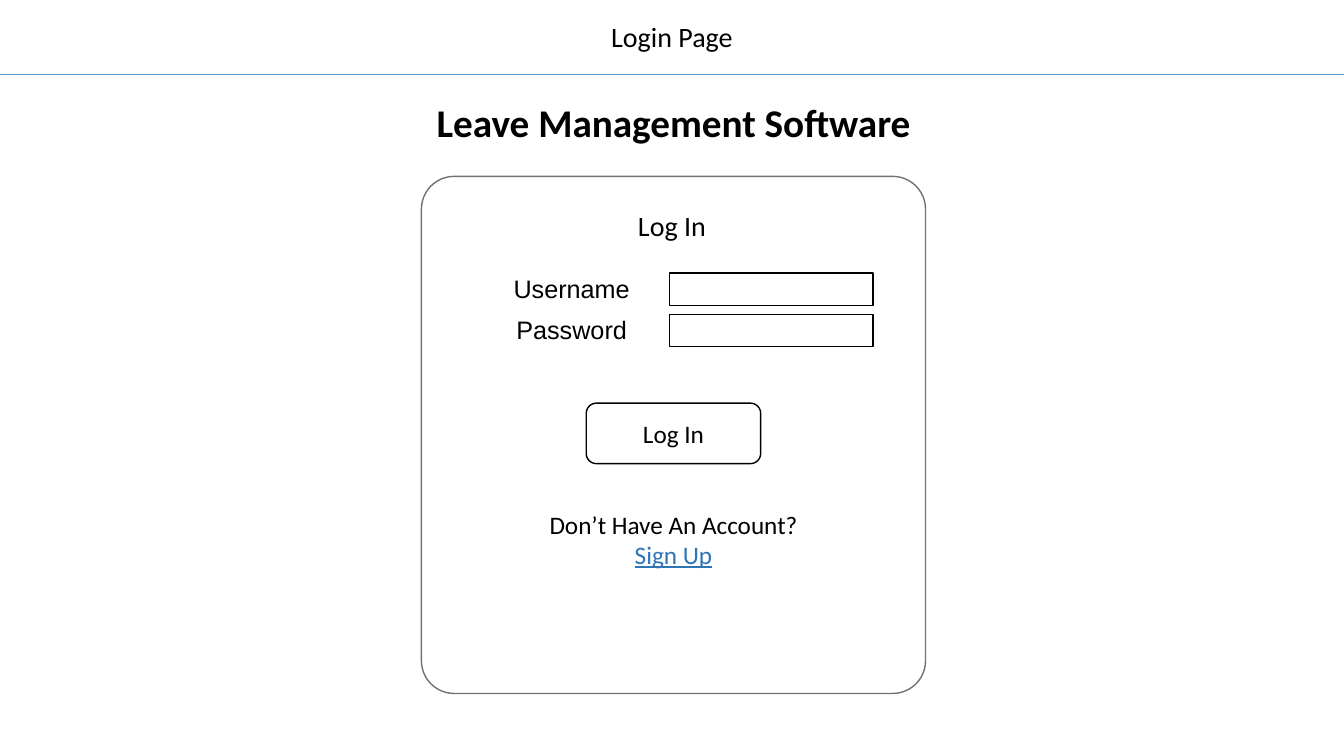
from pptx import Presentation
from pptx.dml.color import RGBColor
from pptx.enum.shapes import MSO_CONNECTOR, MSO_SHAPE
from pptx.enum.text import MSO_ANCHOR, PP_ALIGN
from pptx.oxml.ns import qn
from pptx.util import Inches, Pt
from lxml import etree

RECT, ROUNDED = MSO_SHAPE.RECTANGLE, MSO_SHAPE.ROUNDED_RECTANGLE
STRAIGHT = MSO_CONNECTOR.STRAIGHT
CENTER, MIDDLE = PP_ALIGN.CENTER, MSO_ANCHOR.MIDDLE

THEME = {
    "ink": "000000", "paper": "FFFFFF", "rule": "5B9BD5",
    "card": "757070", "link": "2E75B5",
    "font": "Calibri", "label_font": "Arial",
    "title": 28, "heading": 20, "body": 18,
}

PAGE = "Login Page"
PRODUCT = "Leave Management Software"
FORM = "Log In"
FIELDS = ["Username", "Password"]
BUTTON = "Log In"
QUESTION, SIGN_UP = "Don\u2019t Have An Account?", "Sign Up"

WIDTH, HEIGHT = 13.33, 7.5
CARD_LEFT, CARD_TOP, CARD_WIDTH, CARD_HEIGHT = 4.18, 1.75, 5, 5.13
CARD_MIDDLE = CARD_LEFT + CARD_WIDTH / 2
GRID_LEFT, GRID_TOP, COLUMN, ROW = 4.66, 2.68, 2.02, 0.41
FIELD_HEIGHT = 0.32

prs = Presentation()
prs.slide_width, prs.slide_height = Inches(WIDTH), Inches(HEIGHT)
slide = prs.slides.add_slide(prs.slide_layouts[6])


def color(name):
    return RGBColor.from_string(THEME[name])


def inches(*lengths):
    return [Inches(length) for length in lengths]


def write(paragraph, text, size, font="font", ink="ink", bold=False, underline=None):
    paragraph.alignment = CENTER
    run = paragraph.add_run()
    run.text = text
    run.font.name, run.font.size = THEME[font], Pt(THEME[size])
    run.font.bold, run.font.underline = bold, underline
    run.font.color.rgb = color(ink)


def add_caption(middle, top, width, height, lines):
    box = slide.shapes.add_textbox(*inches(middle - width / 2, top, width, height))
    frame = box.text_frame
    frame.word_wrap = True
    for index, line in enumerate(lines):
        write(frame.add_paragraph() if index else frame.paragraphs[0], **line)


def add_outline(kind, left, top, width, height, edge="ink", corner=None):
    outline = slide.shapes.add_shape(kind, *inches(left, top, width, height))
    outline.shadow.inherit = False
    outline.fill.solid()
    outline.fill.fore_color.rgb = color("paper")
    outline.line.color.rgb, outline.line.width = color(edge), Pt(1)
    if corner:
        outline.adjustments[0] = corner
    return outline


add_caption(WIDTH / 2, 0.14, 1.46, 0.44, [dict(text=PAGE, size="heading")])

rule = slide.shapes.add_connector(STRAIGHT, *inches(0, 0.74, WIDTH, 0.74))
rule.line.color.rgb, rule.line.width = color("rule"), Pt(0.75)
etree.SubElement(rule.element.spPr, qn("a:effectLst"))

add_caption(CARD_MIDDLE, 0.93, CARD_WIDTH, 0.57,
            [dict(text=PRODUCT, size="title", bold=True)])
add_outline(ROUNDED, CARD_LEFT, CARD_TOP, CARD_WIDTH, CARD_HEIGHT, "card", 0.065)
add_caption(WIDTH / 2, 2.02, 2, 0.44, [dict(text=FORM, size="heading")])

form = slide.shapes.add_table(
    len(FIELDS), 2, *inches(GRID_LEFT, GRID_TOP, 2 * COLUMN, len(FIELDS) * ROW)).table
form.first_row = form.horz_banding = False
for cell in form.iter_cells():
    cell.fill.background()
    properties = cell._tc.get_or_add_tcPr()
    for position, side in enumerate(("lnL", "lnR", "lnT", "lnB")):
        border = etree.Element(qn("a:" + side), w="0")
        etree.SubElement(border, qn("a:noFill"))
        properties.insert(position, border)
for row, label in enumerate(FIELDS):
    write(form.cell(row, 0).text_frame.paragraphs[0], label, "body", "label_font")
    add_outline(RECT, GRID_LEFT + COLUMN - 0.04, GRID_TOP + 0.03 + row * ROW,
                COLUMN, FIELD_HEIGHT)

button = add_outline(ROUNDED, CARD_MIDDLE - 1.73 / 2, 4, 1.73, 0.6, corner=0.167)
button.text_frame.vertical_anchor = MIDDLE
write(button.text_frame.paragraphs[0], BUTTON, "body")

add_caption(CARD_MIDDLE, 5, 2.82, 0.71, [
    dict(text=QUESTION, size="body"),
    dict(text=SIGN_UP, size="body", ink="link", underline=True),
])

prs.save("out.pptx")
